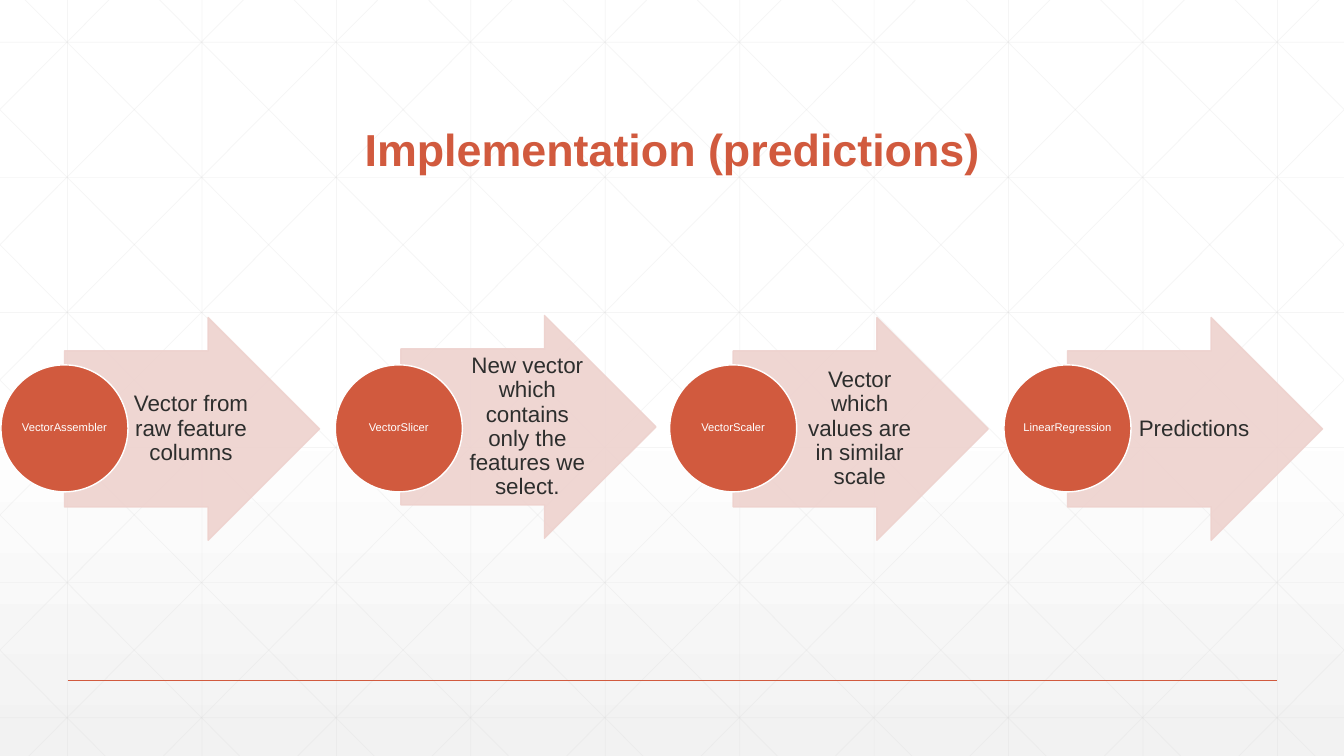
from copy import deepcopy
from dataclasses import dataclass

from lxml.etree import SubElement
from pptx import Presentation
from pptx.dml.color import RGBColor
from pptx.enum.shapes import MSO_CONNECTOR, MSO_SHAPE
from pptx.enum.text import MSO_ANCHOR, PP_ALIGN
from pptx.oxml.ns import qn
from pptx.util import Inches, Pt

COLORS = {
    "accent": "D15A3E", "arrow": "EED2CE", "text": "2D2E2D",
    "white": "FFFFFF", "shade": "F2F2F2", "grid": "D9D9D9",
}
FONT = "Arial"
WIDTH, HEIGHT = 13.33, 7.5


@dataclass
class Step:
    name: str
    result: str
    dx: float = 0  # arrow offset from its regular place
    dy: float = 0


STEPS = [
    Step("VectorAssembler", "Vector from raw feature columns"),
    Step("VectorSlicer", "New vector which contains only the features we select.", 0.02, -0.02),
    Step("VectorScaler", "Vector which values are in similar scale"),
    Step("LinearRegression", "Predictions"),
]


def rgb(name: str) -> RGBColor:
    return RGBColor.from_string(COLORS[name])


def set_opacity(shape, percent: int) -> None:
    for color in shape._element.spPr.iter(qn("a:srgbClr")):
        SubElement(color, qn("a:alpha"), val=str(percent * 1000))


def add_line(s, x1: float, y1: float, x2: float, y2: float,
             color: str, width: float, opacity: int = 100) -> None:
    line = s.shapes.add_connector(MSO_CONNECTOR.STRAIGHT, Inches(x1), Inches(y1),
                                  Inches(x2), Inches(y2))
    line.line.color.rgb = rgb(color)
    line.line.width = Pt(width)
    if opacity < 100:
        set_opacity(line, opacity)
    SubElement(line._element.spPr, qn("a:effectLst"))


def add_shape(s, kind: MSO_SHAPE, x: float, y: float, w: float, h: float,
              fill: str, outline: str):
    sp = s.shapes.add_shape(kind, Inches(x), Inches(y), Inches(w), Inches(h))
    sp.shadow.inherit = False
    sp.fill.solid()
    sp.fill.fore_color.rgb = rgb(fill)
    sp.line.color.rgb = rgb(outline)
    sp.line.width = Pt(1)
    return sp


def set_text(sp, text: str, size: int, color: str, margins: tuple[float, ...],
             anchor: MSO_ANCHOR = MSO_ANCHOR.MIDDLE, bold: bool = False,
             wrap: bool = True) -> None:
    tf = sp.text_frame
    tf.text = text
    tf.word_wrap = wrap
    tf.vertical_anchor = anchor
    tf.margin_left, tf.margin_top, tf.margin_right, tf.margin_bottom = map(Inches, margins)
    p = tf.paragraphs[0]
    p.alignment = PP_ALIGN.CENTER
    p.line_spacing = 0.9
    font = p.runs[0].font
    font.name, font.size, font.bold = FONT, Pt(size), bold
    font.color.rgb = rgb(color)


def add_textbox(s, x: float, y: float, w: float, h: float):
    return s.shapes.add_textbox(Inches(x), Inches(y), Inches(w), Inches(h))


def set_background(s) -> None:
    fill = s.background.fill
    fill.gradient()
    fill.gradient_angle = 270
    first = s._element.xpath(".//a:gsLst/a:gs")[0]
    first.addnext(deepcopy(first))
    for stop, position, color in zip(fill.gradient_stops, (0, 0.53, 1),
                                     ("white", "white", "shade")):
        stop.position = position
        stop.color.rgb = rgb(color)


def add_grid(s) -> None:
    pitch = 4 / 3
    lines = [(x, 0, x, HEIGHT) for x in (0.67 + pitch * i for i in range(10))]
    lines += [(0, y, WIDTH, y) for y in (0.42 + 1.34 * i for i in range(6))]
    # Falling diagonals clipped to the slide, then their mirror images
    run = 7.46
    slope = HEIGHT / run
    falling = []
    for i in range(-5, 10):
        top = 0.25 + pitch * i
        start, end = max(top, 0), min(top + run, WIDTH)
        falling.append((start, (start - top) * slope, end, (end - top) * slope))
    lines += falling
    lines += [(WIDTH - x1, y1, WIDTH - x2, y2) for x1, y1, x2, y2 in falling]
    for line in lines:
        add_line(s, *line, "grid", 0.5, 25)


def add_step(s, step: Step, left: float) -> None:
    x, y = left + 0.63 + step.dx, 3.15 + step.dy
    arrow = add_shape(s, MSO_SHAPE.RIGHT_ARROW, x, y, 2.53, 2.21, "arrow", "arrow")
    arrow.adjustments[0], arrow.adjustments[1] = 0.7, 0.5
    set_opacity(arrow, 90)
    result = add_textbox(s, x + 0.63, y + 0.33, 1.23, 1.55)
    set_text(result, step.result, 16, "text", (0.04, 0.01, 0.02, 0.01))
    circle = add_shape(s, MSO_SHAPE.OVAL, left, 3.62, 1.26, 1.26, "accent", "white")
    set_text(circle, step.name, 8, "white", (0, 0, 0, 0), wrap=False)


prs = Presentation()
prs.slide_width, prs.slide_height = Inches(WIDTH), Inches(HEIGHT)
s = prs.slides.add_slide(prs.slide_layouts[6])

# Background, grid and footer rule
set_background(s)
add_grid(s)
add_line(s, 0.67, 6.75, 12.67, 6.75, "accent", 1)

# Title
title = add_textbox(s, 1.42, 0.55, 10.5, 1.25)
set_text(title, "Implementation (predictions)", 32, "accent",
         (0.1, 0.05, 0.1, 0.05), MSO_ANCHOR.BOTTOM, bold=True)

# Pipeline steps
for i, step in enumerate(STEPS):
    add_step(s, step, 0.01 + 3.316 * i)

prs.save("out.pptx")
